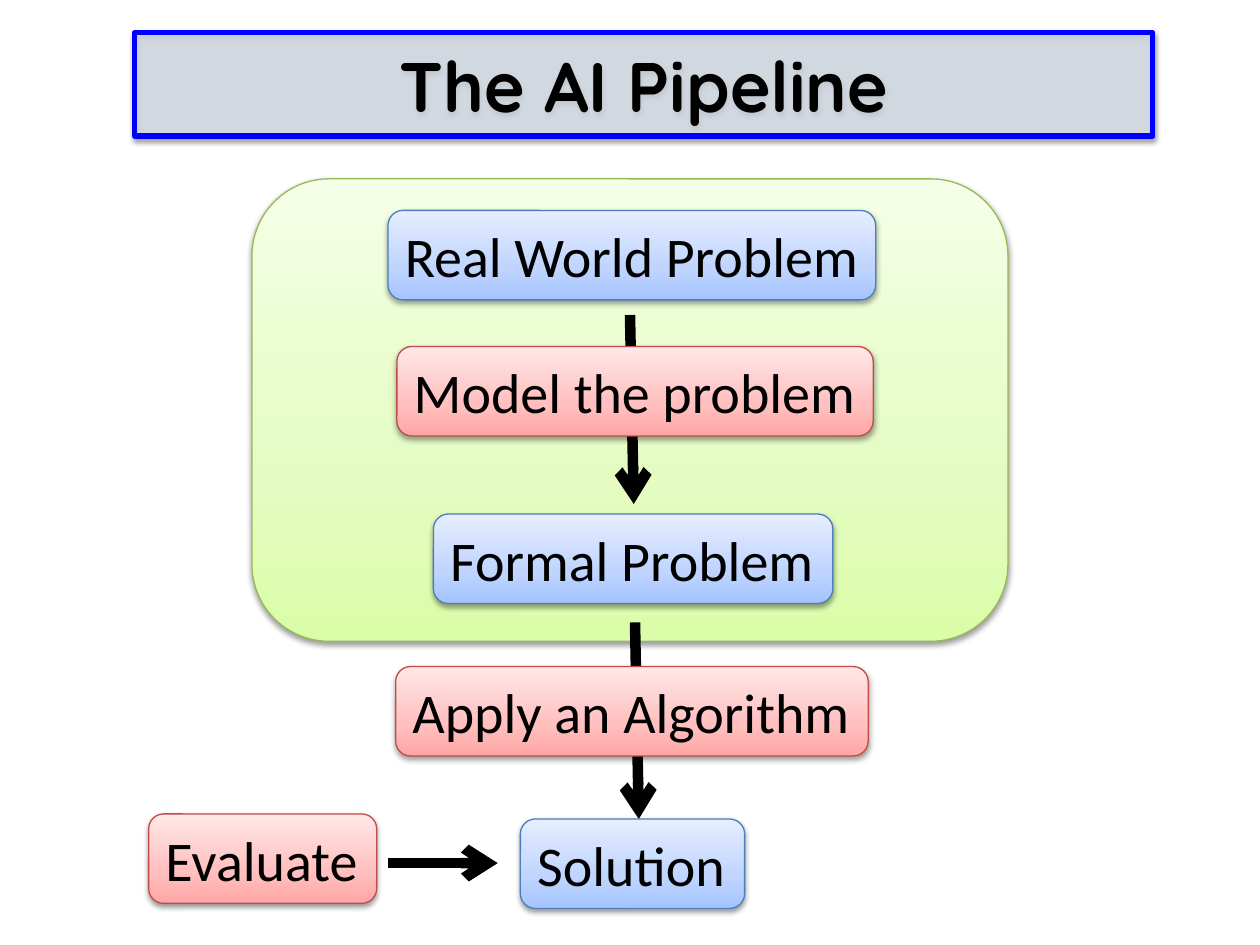
from copy import deepcopy

from pptx import Presentation
from pptx.dml.color import RGBColor as RGB
from pptx.enum.shapes import MSO_CONNECTOR as CONNECTOR, MSO_SHAPE as SHAPE
from pptx.enum.text import MSO_ANCHOR as ANCHOR, MSO_AUTO_SIZE as AUTO_SIZE, PP_ALIGN as ALIGN
from pptx.oxml.ns import qn
from pptx.util import Inches, Pt
from lxml.etree import SubElement

BLACK = RGB(0, 0, 0)
TITLE_FILL = RGB(0xDC, 0xE6, 0xF2)
TITLE_LINE = RGB(0, 0, 0xFF)

# Outline, then gradient colours from bottom to top
STATE = (RGB(0x4B, 0x7E, 0xBC),
         (RGB(0xA4, 0xC4, 0xFF), RGB(0xBF, 0xD4, 0xFF), RGB(0xE6, 0xEE, 0xFF)))
ACTION = (RGB(0xBF, 0x4C, 0x48),
          (RGB(0xFF, 0xA6, 0xA5), RGB(0xFF, 0xC0, 0xBF), RGB(0xFF, 0xE7, 0xE7)))
GROUP = (RGB(0x98, 0xB9, 0x55),
         (RGB(0xDA, 0xFD, 0xA7), RGB(0xE4, 0xFC, 0xC2), RGB(0xF5, 0xFF, 0xE7)))
STOP_POSITIONS = (0, 0.35, 1)

TITLE = "The AI Pipeline"
TITLE_AREA = (1.07, 0.26, 8.08, 0.82)
MODELLING_AREA = (2, 1.42, 6, 3.67)
STEP_HEIGHT = 0.71
# Text, palette, left, top, width
STEPS = [
    ("Real World Problem", STATE, 3.08, 1.67, 3.87),
    ("Model the problem", ACTION, 3.15, 2.75, 3.78),
    ("Formal Problem", STATE, 3.44, 4.08, 3.17),
    ("Apply an Algorithm", ACTION, 3.14, 5.29, 3.75),
    ("Solution", STATE, 4.13, 6.5, 1.78),
    ("Evaluate", ACTION, 1.18, 6.46, 1.81),
]
ARROWS = [
    (5, 2.5, 5.03, 4),
    (5.04, 4.94, 5.07, 6.5),
    (3.08, 6.85, 3.95, 6.85),
]


def add_shadow(shape):
    shape.shadow.inherit = False
    effects = shape._element.spPr.find(qn("a:effectLst"))
    shadow = SubElement(effects, qn("a:outerShdw"), blurRad=str(Pt(3.1)),
                        dist=str(Pt(1.6)), dir="5400000", rotWithShape="0")
    color = SubElement(shadow, qn("a:srgbClr"), val="000000")
    SubElement(color, qn("a:alpha"), val="38000")


def add_rounded(slide, area, palette):
    outline, colors = palette
    shape = slide.shapes.add_shape(SHAPE.ROUNDED_RECTANGLE, *map(Inches, area))
    shape.fill.gradient()
    shape.fill.gradient_angle = 90
    stops = shape._element.spPr.find(".//" + qn("a:gsLst"))
    stops.insert(1, deepcopy(stops[0]))
    for stop, position, color in zip(shape.fill.gradient_stops, STOP_POSITIONS, colors):
        stop.position = position
        stop.color.rgb = color
    shape.line.color.rgb = outline
    shape.line.width = Pt(0.75)
    add_shadow(shape)
    return shape


def add_step(slide, text, palette, left, top, width):
    step = add_rounded(slide, (left, top, width, STEP_HEIGHT), palette)
    frame = step.text_frame
    frame.text = text
    frame.word_wrap = False
    frame.auto_size = AUTO_SIZE.SHAPE_TO_FIT_TEXT
    frame.vertical_anchor = ANCHOR.MIDDLE
    paragraph = frame.paragraphs[0]
    paragraph.alignment = ALIGN.LEFT
    paragraph.font.name = "Calibri"
    paragraph.font.size = Pt(32)
    paragraph.font.color.rgb = BLACK


def add_arrow(slide, ends):
    arrow = slide.shapes.add_connector(CONNECTOR.STRAIGHT, *map(Inches, ends))
    arrow.line.color.rgb = BLACK
    arrow.line.width = Pt(6)
    SubElement(arrow.line._get_or_add_ln(), qn("a:tailEnd"), type="arrow")
    SubElement(arrow._element.spPr, qn("a:effectLst"))


def format_title(title):
    title.left, title.top, title.width, title.height = map(Inches, TITLE_AREA)
    title.fill.solid()
    title.fill.fore_color.rgb = TITLE_FILL
    fill_color = title._element.spPr.find(qn("a:solidFill"))[0]
    SubElement(fill_color, qn("a:alpha"), val="60000")
    title.line.color.rgb = TITLE_LINE
    title.line.width = Pt(3)
    add_shadow(title)
    frame = title.text_frame
    frame.text = TITLE
    frame.auto_size = AUTO_SIZE.NONE
    frame.vertical_anchor = ANCHOR.MIDDLE
    paragraph = frame.paragraphs[0]
    paragraph.alignment = ALIGN.CENTER
    paragraph.font.name = "Quicksand"
    paragraph.font.size = Pt(40)
    paragraph.font.bold = True
    paragraph.font.color.rgb = BLACK


def main():
    deck = Presentation()
    deck.slide_width, deck.slide_height = Inches(10), Inches(7.5)
    slide = deck.slides.add_slide(deck.slide_layouts[5])
    format_title(slide.shapes.title)
    add_rounded(slide, MODELLING_AREA, GROUP)
    for ends in ARROWS:
        add_arrow(slide, ends)
    for step in STEPS:
        add_step(slide, *step)
    deck.save("out.pptx")


if __name__ == "__main__":
    main()
